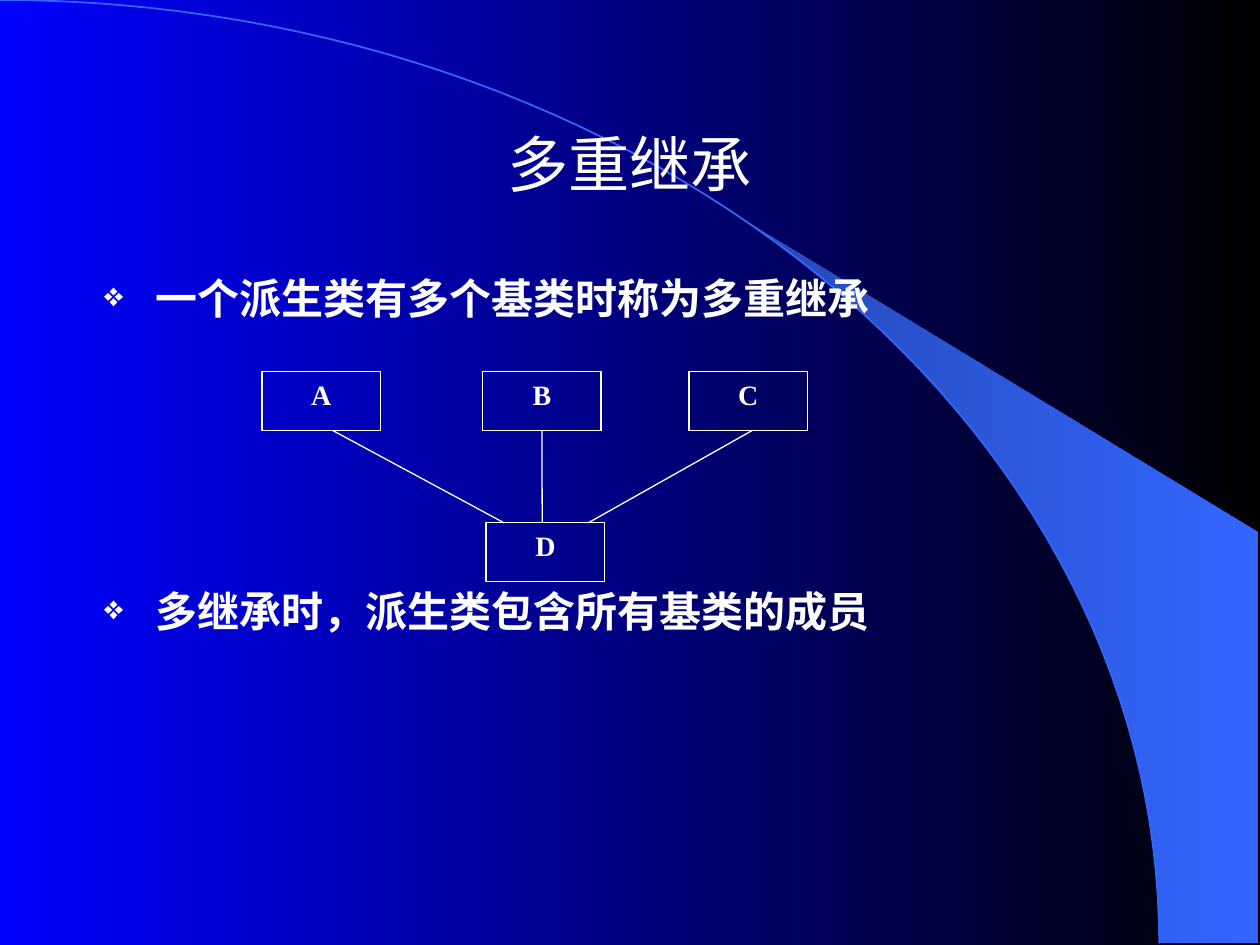
from dataclasses import dataclass
from math import asin, cos, pi, sin

from lxml.etree import SubElement
from pptx import Presentation
from pptx.dml.color import RGBColor
from pptx.enum.shapes import MSO_CONNECTOR, MSO_SHAPE
from pptx.enum.text import MSO_ANCHOR, PP_ALIGN
from pptx.oxml.ns import qn
from pptx.util import Cm, Pt


@dataclass(frozen=True)
class Theme:
    white: str = "FFFFFF"
    black: str = "000000"
    blue: str = "0000FF"
    arc: str = "3366FF"
    wedge: str = "2449B6"
    heading: str = "Arial"
    text: str = "Times New Roman"
    title_size: int = 35
    body_size: int = 24
    box_size: int = 16


T = Theme()
ARC_W, ARC_H = 23.37, 19.02
BOX_W, BOX_H = 2.39, 1.19
BASE_Y, DERIVED_Y = 7.49, 10.54


def rgb(value):
    return RGBColor.from_string(value)


def set_gradient(fill, start, end):
    fill.gradient()
    fill.gradient_angle = 0
    for stop, color in zip(fill.gradient_stops, (start, end)):
        stop.color.rgb = rgb(color)


def set_line(sp, color, width):
    sp.line.color.rgb = rgb(color)
    sp.line.width = Pt(width)


def add_run(p, text, size, font, bold=False):
    r = p.add_run()
    r.text = text
    r.font.size = Pt(size)
    r.font.name = font
    r.font.bold = bold
    r.font.color.rgb = rgb(T.white)


def set_frame(tf, anchor):
    tf.word_wrap = True
    tf.vertical_anchor = anchor
    tf.margin_left = tf.margin_right = Cm(0.2)
    tf.margin_top = tf.margin_bottom = Cm(0.1)


def arc_points(start, steps=60):
    angles = [start + (pi / 2 - start) * i / steps for i in range(steps + 1)]
    return [(Cm(ARC_W * sin(a)), Cm(ARC_H * (1 - cos(a)))) for a in angles]


def add_outline(s, points, close):
    fb = s.shapes.build_freeform(*points[0])
    fb.add_line_segments(points[1:], close=close)
    sp = fb.convert_to_shape()
    sp.shadow.inherit = False
    return sp


def add_backdrop(s):
    set_gradient(s.background.fill, T.blue, T.black)
    corners = [(Cm(25.37), Cm(ARC_H)), (Cm(25.37), Cm(10.74))]
    wedge = add_outline(s, arc_points(asin(14.96 / ARC_W)) + corners, True)
    set_gradient(wedge.fill, T.wedge, T.arc)
    wedge.line.fill.background()
    arc = add_outline(s, arc_points(0), False)
    arc.fill.background()
    set_line(arc, T.arc, 1)


def add_title(s, text):
    sp = s.shapes.title
    s.shapes.element.append(sp.element)
    sp.left, sp.top, sp.width, sp.height = Cm(1.9), Cm(1.7), Cm(21.59), Cm(3.18)
    set_frame(sp.text_frame, MSO_ANCHOR.MIDDLE)
    p = sp.text_frame.paragraphs[0]
    p.alignment = PP_ALIGN.CENTER
    add_run(p, text, T.title_size, T.heading)


def add_bullet(p):
    pPr = p._p.get_or_add_pPr()
    pPr.set("marL", str(Cm(1.04)))
    pPr.set("indent", str(-Cm(1.04)))
    color = SubElement(pPr, qn("a:buClr"))
    SubElement(color, qn("a:srgbClr"), val=T.white)
    SubElement(pPr, qn("a:buSzPct"), val="80000")
    SubElement(pPr, qn("a:buChar"), char="❖")


def add_body(s, texts, gap):
    sp = s.shapes.add_textbox(Cm(1.9), Cm(5.51), Cm(21.59), Cm(10.95))
    tf = sp.text_frame
    set_frame(tf, MSO_ANCHOR.TOP)
    for i, text in enumerate(texts):
        p = tf.add_paragraph() if i else tf.paragraphs[0]
        p.line_spacing = 0.9
        p.space_before = Pt(gap if i else 0)
        add_bullet(p)
        add_run(p, text, T.body_size, T.text, True)


def add_class(s, name, x, y):
    sp = s.shapes.add_shape(MSO_SHAPE.RECTANGLE, Cm(x), Cm(y), Cm(BOX_W), Cm(BOX_H))
    sp.shadow.inherit = False
    sp.fill.background()
    set_line(sp, T.white, 0.75)
    sp.text_frame.vertical_anchor = MSO_ANCHOR.TOP
    p = sp.text_frame.paragraphs[0]
    p.alignment = PP_ALIGN.CENTER
    add_run(p, name, T.box_size, T.text, True)
    return sp


def add_link(s, x1, x2):
    c = s.shapes.add_connector(
        MSO_CONNECTOR.STRAIGHT, Cm(x1), Cm(BASE_Y + BOX_H), Cm(x2), Cm(DERIVED_Y))
    set_line(c, T.white, 0.75)
    SubElement(c._element.spPr, qn("a:effectLst"))
    return c


def main():
    prs = Presentation()
    prs.slide_width, prs.slide_height = Cm(25.4), Cm(19.05)
    s = prs.slides.add_slide(prs.slide_layouts[5])
    add_backdrop(s)
    add_title(s, "多重继承")
    add_body(s, ["一个派生类有多个基类时称为多重继承",
                 "多继承时，派生类包含所有基类的成员"], 153)
    bases = {name: add_class(s, name, x, BASE_Y)
             for name, x in (("A", 5.28), ("B", 9.73), ("C", 13.89))}
    add_class(s, "D", 9.8, DERIVED_Y)
    add_link(s, 6.71, 10.16)
    add_link(s, 10.93, 10.93).begin_connect(bases["B"], 2)
    add_link(s, 15.16, 11.86)
    prs.save("out.pptx")


if __name__ == "__main__":
    main()
